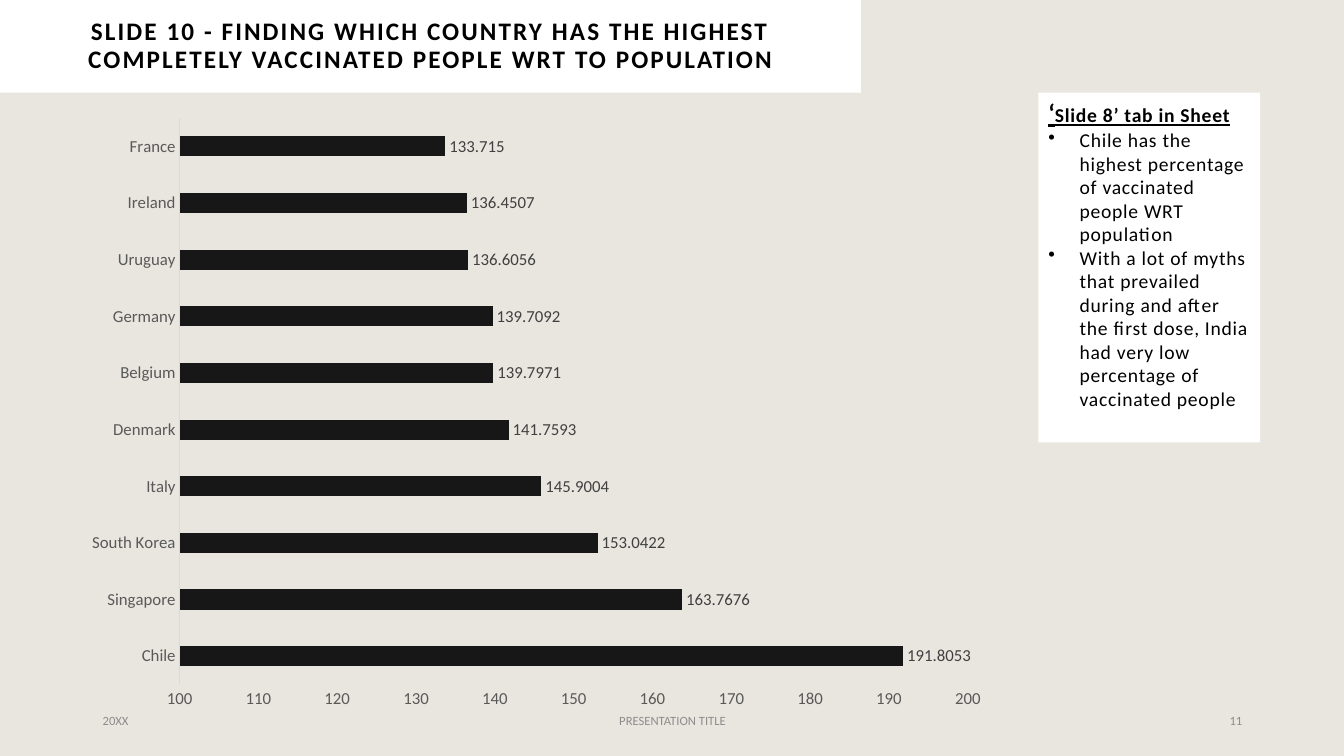
import dataclasses
import typing

import pptx
import pptx.chart.data
import pptx.dml.color
import pptx.enum.chart
import pptx.enum.shapes
import pptx.enum.text
import pptx.oxml
import pptx.oxml.ns
import pptx.util

Inches = pptx.util.Inches
Pt = pptx.util.Pt
Align = pptx.enum.text.PP_ALIGN


@dataclasses.dataclass(frozen=True)
class Theme:
    """Colours, type sizes and font of the slide."""
    back: str = "E9E6DF"
    panel: str = "FFFFFF"
    ink: str = "000000"
    bar: str = "181717"
    label: str = "404040"
    axis: str = "595959"
    rule: str = "D9D9D9"
    faint: str = "8C8C8C"
    face: str = "Calibri"
    title: int = 18
    body: int = 14
    chart: int = 12
    foot: int = 9


@dataclasses.dataclass(frozen=True)
class Footer:
    """One footer text with its place and alignment."""
    text: str
    left: float
    width: float
    align: Align


THEME = Theme()
FOOTERS = [
    Footer("20XX", 0.92, 3, Align.LEFT),
    Footer("PRESENTATION TITLE", 4.42, 4.5, Align.CENTER),
    Footer("11", 9.42, 3, Align.RIGHT),
]
TITLE = ("SLIDE 10 - FINDING WHICH COUNTRY HAS THE HIGHEST "
         "COMPLETELY VACCINATED PEOPLE WRT TO POPULATION")
POINTS = [
    "Chile has the highest percentage of vaccinated people WRT population",
    "With a lot of myths that prevailed during and after the first dose, "
    "India had very low percentage of vaccinated people",
]
RATES = {
    "Chile": 191.8053, "Singapore": 163.7676, "South Korea": 153.0422,
    "Italy": 145.9004, "Denmark": 141.7593, "Belgium": 139.7971,
    "Germany": 139.7092, "Uruguay": 136.6056, "Ireland": 136.4507,
    "France": 133.715,
}


def rgb(code: str) -> pptx.dml.color.RGBColor:
    """Turn a hex code into a colour."""
    return pptx.dml.color.RGBColor.from_string(code)


def style(font: typing.Any, size: int, color: str) -> None:
    """Set face, size and colour of a font."""
    font.name = THEME.face
    font.size = Pt(size)
    font.color.rgb = rgb(color)


def add_run(para: typing.Any, text: str, space: float = 0) -> typing.Any:
    """Add a run with letter spacing in points."""
    run = para.add_run()
    run.text = text
    if space:
        run.font._element.set("spc", str(round(space * 100)))
    return run


def add_panel(slide: typing.Any, left: float, top: float, width: float,
              height: float) -> typing.Any:
    """Draw a plain white panel and return its text frame."""
    shape = slide.shapes.add_shape(
        pptx.enum.shapes.MSO_SHAPE.RECTANGLE,
        Inches(left), Inches(top), Inches(width), Inches(height))
    shape.shadow.inherit = False
    shape.fill.solid()
    shape.fill.fore_color.rgb = rgb(THEME.panel)
    shape.line.fill.background()
    shape.text_frame.word_wrap = True
    return shape.text_frame


def add_title(slide: typing.Any) -> None:
    """Draw the title band."""
    frame = add_panel(slide, 0, 0, 8.54, 0.92)
    frame.vertical_anchor = pptx.enum.text.MSO_ANCHOR.MIDDLE
    para = frame.paragraphs[0]
    para.alignment = Align.CENTER
    para.line_spacing = 0.9
    style(para.font, THEME.title, THEME.ink)
    para.font.bold = True
    add_run(para, TITLE, 1.5)


def add_bullet(para: typing.Any) -> None:
    """Give a paragraph a hanging bullet."""
    props = para._p.get_or_add_pPr()
    indent = Inches(0.31)
    props.set("marL", str(indent))
    props.set("indent", str(-indent))
    mark = pptx.oxml.parse_xml(
        f'<a:buChar {pptx.oxml.ns.nsdecls("a")} char="•"/>')
    props.insert_element_before(mark, "a:tabLst", "a:defRPr", "a:extLst")


def add_notes(slide: typing.Any) -> None:
    """Draw the panel of findings."""
    frame = add_panel(slide, 10.3, 0.92, 2.2, 3.47)
    frame.vertical_anchor = pptx.enum.text.MSO_ANCHOR.TOP
    head = frame.paragraphs[0]
    head.alignment = Align.LEFT
    style(head.font, THEME.body, THEME.ink)
    head.font.bold = head.font.underline = True
    add_run(head, "‘").font.size = Pt(THEME.title)
    add_run(head, "Slide 8’ tab in Sheet", 0.5)
    for text in POINTS:
        para = frame.add_paragraph()
        para.alignment = Align.LEFT
        style(para.font, THEME.body, THEME.ink)
        add_bullet(para)
        add_run(para, text, 0.5)


def add_footer(slide: typing.Any, foot: Footer) -> None:
    """Write one footer text."""
    box = slide.shapes.add_textbox(
        Inches(foot.left), Inches(6.95), Inches(foot.width), Inches(0.4))
    frame = box.text_frame
    frame.word_wrap = True
    frame.vertical_anchor = pptx.enum.text.MSO_ANCHOR.MIDDLE
    para = frame.paragraphs[0]
    para.alignment = foot.align
    style(para.font, THEME.foot, THEME.faint)
    add_run(para, foot.text)


def add_bars(slide: typing.Any) -> None:
    """Draw the bar chart of vaccination rates."""
    kinds = pptx.enum.chart
    data = pptx.chart.data.CategoryChartData()
    data.categories = list(RATES)
    data.add_series("Series 1", list(RATES.values()))
    chart = slide.shapes.add_chart(
        kinds.XL_CHART_TYPE.BAR_CLUSTERED, Inches(0.73), Inches(1.05),
        Inches(9.18), Inches(6.1), data).chart
    chart.has_legend = chart.has_title = False
    style(chart.font, THEME.chart, THEME.axis)
    for axis in (chart.category_axis, chart.value_axis):
        axis.has_major_gridlines = False
        axis.major_tick_mark = kinds.XL_TICK_MARK.NONE
        axis.minor_tick_mark = kinds.XL_TICK_MARK.NONE
        style(axis.tick_labels.font, THEME.chart, THEME.axis)
    line = chart.category_axis.format.line
    line.color.rgb = rgb(THEME.rule)
    line.width = Pt(0.75)
    scale = chart.value_axis
    scale.format.line.fill.background()
    scale.minimum_scale, scale.maximum_scale = 100, 200
    scale.major_unit = 10
    plot = chart.plots[0]
    plot.gap_width = 182
    plot.vary_by_categories = False
    bars = plot.series[0]
    bars.format.fill.solid()
    bars.format.fill.fore_color.rgb = rgb(THEME.bar)
    labels = bars.data_labels
    labels.show_value = True
    labels.position = kinds.XL_LABEL_POSITION.OUTSIDE_END
    style(labels.font, THEME.chart, THEME.label)


deck = pptx.Presentation()
deck.slide_width, deck.slide_height = Inches(13.33), Inches(7.5)
page = deck.slides.add_slide(deck.slide_layouts[6])
page.background.fill.solid()
page.background.fill.fore_color.rgb = rgb(THEME.back)
add_title(page)
for item in FOOTERS:
    add_footer(page, item)
add_notes(page)
add_bars(page)
deck.save("out.pptx")
